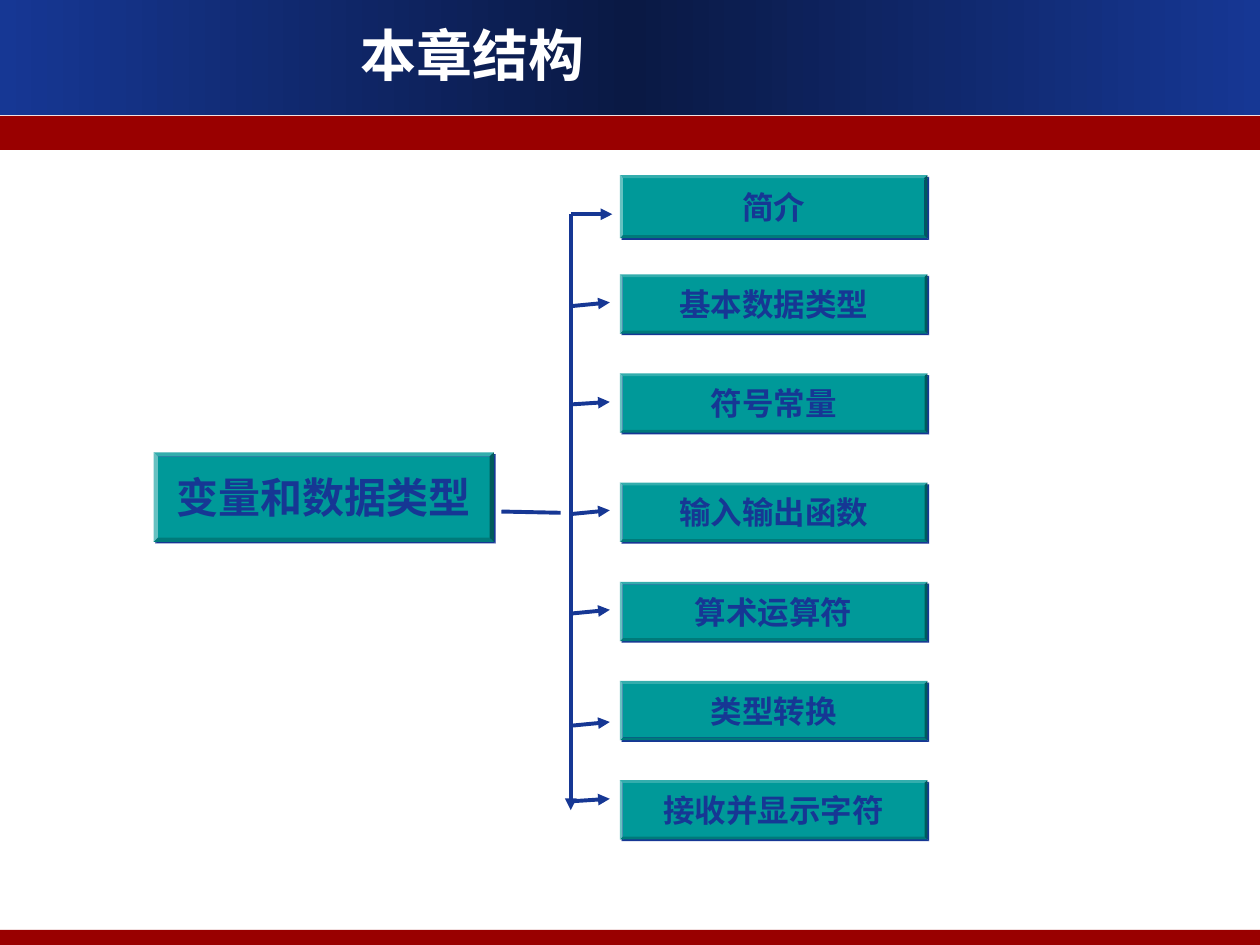
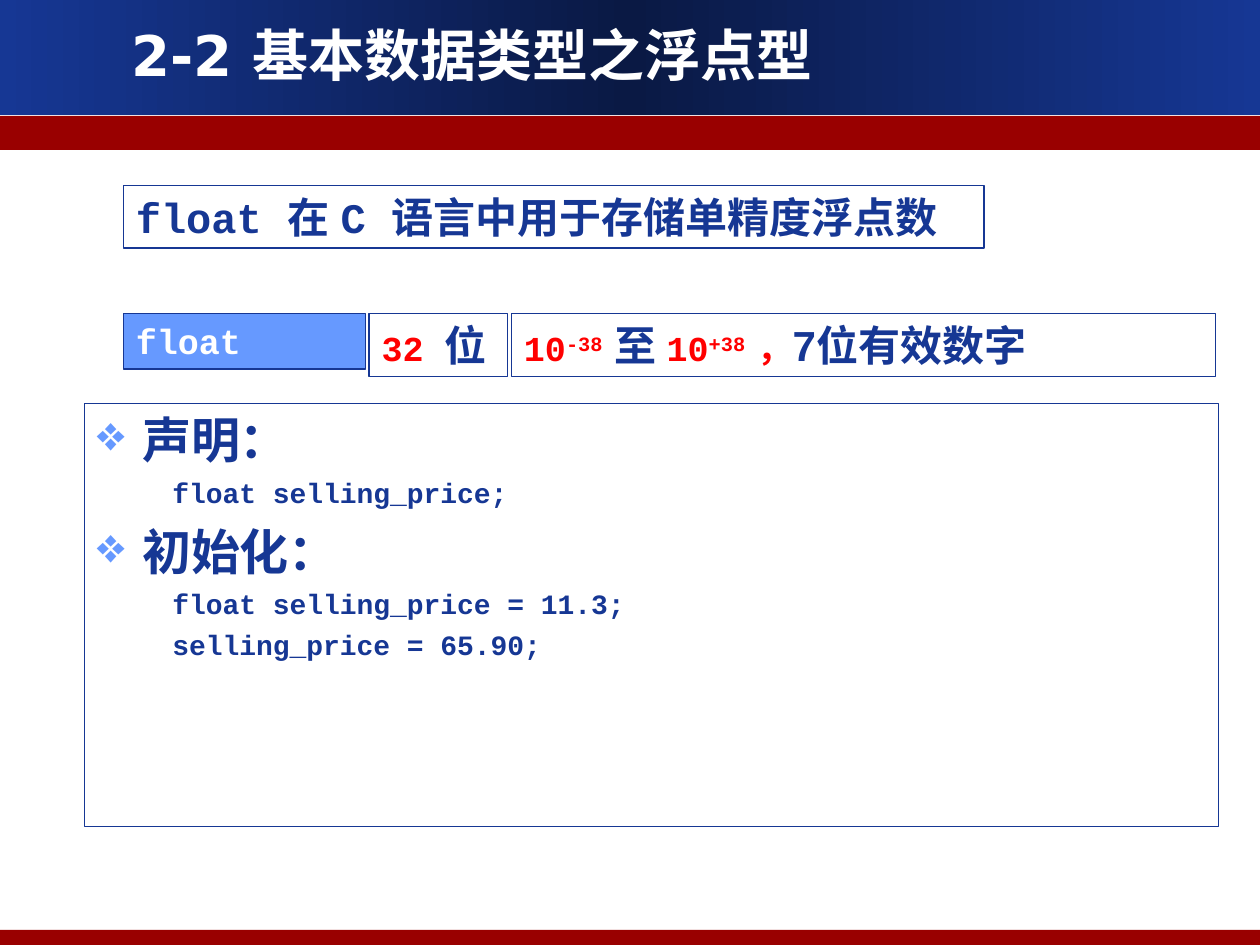
from dataclasses import dataclass

from lxml import etree
from pptx import Presentation
from pptx.dml.color import RGBColor
from pptx.enum.shapes import MSO_CONNECTOR, MSO_SHAPE
from pptx.enum.text import MSO_ANCHOR, MSO_AUTO_SIZE, PP_ALIGN
from pptx.oxml.ns import qn
from pptx.util import Inches, Pt

RECT, BEVEL = MSO_SHAPE.RECTANGLE, MSO_SHAPE.BEVEL
LINE = MSO_CONNECTOR.STRAIGHT
TOP, MID = MSO_ANCHOR.TOP, MSO_ANCHOR.MIDDLE
LEFT, MIDDLE, FULL = PP_ALIGN.LEFT, PP_ALIGN.CENTER, PP_ALIGN.JUSTIFY
FIXED = MSO_AUTO_SIZE.NONE


@dataclass(frozen=True)
class Theme:
    navy: str = "163794"
    dark: str = "0A1944"
    brick: str = "990000"
    teal: str = "009999"
    sky: str = "6699FF"
    red: str = "FF0000"
    white: str = "FFFFFF"
    sans: str = "Arial"
    head: str = "DejaVu Sans"
    code: str = "Courier New"
    han: str = "Noto Sans CJK SC"
    title: int = 32
    topic: int = 28
    large: int = 24
    mid: int = 20
    item: int = 18
    small: int = 16


T = Theme()

BANDS = [(0, 0.91, None), (0.92, 0.27, T.brick), (7.38, 0.13, T.brick)]
TITLES = ["本章结构", "2-2 基本数据类型之浮点型"]

ROOT = "变量和数据类型"
ITEMS = [
    ("简介", 1.7, 1.7),
    ("基本数据类型", 2.43, 2.4),
    ("符号常量", 3.21, 3.19),
    ("输入输出函数", 4.08, 4.05),
    ("算术运算符", 4.87, 4.84),
    ("类型转换", 5.76, 5.73),
    ("接收并显示字符", 6.36, 6.34),
]

INTRO = [("float 在 C 语言中用于存储单精度浮点数", T.large, T.code, T.navy)]
CELLS = [
    (0.98, 1.92, 0.44, T.sky, True, [("float", T.mid, T.code, T.white)]),
    (2.93, 1.1, 0.5, T.white, False, [
        ("32 ", T.mid, T.code, T.red),
        ("位", T.large, T.code, T.navy),
    ]),
    (4.06, 5.59, 0.5, T.white, True, [
        ("10", T.mid, T.code, T.red),
        ("-38 ", T.mid, T.code, T.red, 30),
        ("至", T.large, T.code, T.navy),
        (" 10", T.mid, T.code, T.red),
        ("+38 ", T.mid, T.code, T.red, 30),
        ("，", T.mid, T.han, T.red),
        ("7", T.large, T.sans, T.navy),
        ("位有效数字", T.large, T.han, T.navy),
    ]),
]
NOTES = [
    ("声明：", ["float selling_price;"]),
    ("初始化：", ["float selling_price = 11.3;", "selling_price = 65.90;"]),
]


def rgb(tone):
    return RGBColor.from_string(tone)


def node(root, tag, **attrs):
    return etree.SubElement(root, qn(tag), {k: str(v) for k, v in attrs.items()})


def tint(root, tone):
    node(root, "a:srgbClr", val=tone)


def write(para, text, size, face, tone, lift=0):
    run = para.add_run()
    run.text = text
    font = run.font
    font.size, font.bold, font.name = Pt(size), True, face
    font.color.rgb = rgb(tone)
    node(run.font._element, "a:ea", typeface=T.sans)
    if lift:
        run.font._element.set("baseline", str(lift * 1000))


def block(slide, kind, x, y, w, h, fill, edge=None):
    shape = slide.shapes.add_shape(kind, *map(Inches, (x, y, w, h)))
    shape.shadow.inherit = False
    shape.fill.solid()
    shape.fill.fore_color.rgb = rgb(fill)
    if edge:
        shape.line.color.rgb = rgb(edge)
        shape.line.width = Pt(0.75)
    else:
        shape.line.fill.background()
    return shape


def label(shape, runs, align, anchor, wrap=True):
    frame = shape.text_frame
    frame.auto_size, frame.word_wrap = FIXED, wrap
    frame.vertical_anchor = anchor
    para = frame.paragraphs[0]
    para.alignment = align
    for run in runs:
        write(para, *run)


def blend(shape):
    shape.fill.gradient()
    shape.fill.gradient_angle = 0
    stops = shape.element.spPr.find(qn("a:gradFill")).find(qn("a:gsLst"))
    for stop in list(stops):
        stops.remove(stop)
    for pos, tone in ((0, T.navy), (50, T.dark), (100, T.navy)):
        tint(node(stops, "a:gs", pos=pos * 1000), tone)


def dress(slide, layout):
    for spot, (y, h, fill) in enumerate(BANDS):
        band = block(slide, RECT, 0, y, 10, h, fill or T.navy)
        if not fill:
            blend(band)
        layout.shapes.element.insert(2 + spot, band.element)


def head(slide, text):
    title = slide.shapes.title
    title.left, title.top = Inches(0), Inches(0)
    title.width, title.height = Inches(7.5), Inches(0.86)
    label(title, [(text, T.title, T.head, T.white)], MIDDLE, MID)


def wire(slide, x1, y1, x2, y2, arrow=True):
    link = slide.shapes.add_connector(LINE, *map(Inches, (x1, y1, x2, y2)))
    link.line.color.rgb = rgb(T.navy)
    link.line.width = Pt(2.25)
    props = link.element.spPr
    if arrow:
        node(props.find(qn("a:ln")), "a:tailEnd", type="triangle")
    node(props, "a:effectLst")


def plate(slide, text, size, x, y, w, h):
    shape = block(slide, BEVEL, x, y, w, h, T.teal)
    shape.adjustments[0] = 0.047
    glow = shape.element.spPr.find(qn("a:effectLst"))
    tint(node(glow, "a:outerShdw", dist=Pt(1.4), dir=45 * 60000), T.navy)
    label(shape, [(text, size, T.han, T.navy)], MIDDLE, MID, False)


def tree(slide):
    plate(slide, ROOT, T.large, 1.22, 3.59, 2.7, 0.71)
    wire(slide, 3.98, 4.06, 4.45, 4.07, False)
    trunk = 4.53
    wire(slide, trunk, 1.7, trunk, 6.43)
    for i, (text, start, end) in enumerate(ITEMS):
        top = 1.39 + 0.787 * i + (0.08 if i > 2 else 0)
        plate(slide, text, T.item, 4.92, top, 2.44, 0.47 if i else 0.5)
        wire(slide, trunk, start, 4.84 if i else 4.86, end)


def line(para, text, size, face, gap, left, hang):
    props = para._p.get_or_add_pPr()
    props.set("marL", str(Inches(left)))
    props.set("indent", str(Inches(-hang)))
    para.alignment = LEFT
    if gap:
        para.space_before = Pt(gap)
    write(para, text, size, face, T.navy)
    return props


def notes(slide):
    box = block(slide, RECT, 0.67, 3.2, 9, 3.36, T.white, T.navy)
    label(box, [], LEFT, TOP)
    frame = box.text_frame
    for i, (topic, codes) in enumerate(NOTES):
        para = frame.add_paragraph() if i else frame.paragraphs[0]
        props = line(para, topic, T.topic, T.sans, 7 if i else 0, 0.36, 0.36)
        tint(node(props, "a:buClr"), T.sky)
        node(props, "a:buChar", char="❖")
        for code in codes:
            para = frame.add_paragraph()
            para.level = 1
            line(para, code, T.small, T.code, 4, 0.9, 0.3)


def detail(slide):
    intro = block(slide, RECT, 0.98, 1.47, 6.83, 0.5, T.white, T.navy)
    label(intro, INTRO, FULL, TOP)
    for x, w, h, fill, wrap, runs in CELLS:
        cell = block(slide, RECT, x, 2.49, w, h, fill, T.navy)
        label(cell, runs, LEFT, TOP, wrap)
    notes(slide)


def main():
    deck = Presentation()
    deck.slide_width, deck.slide_height = Inches(10), Inches(7.5)
    layout = deck.slide_layouts[5]
    slides = [deck.slides.add_slide(layout) for _ in TITLES]
    dress(slides[0], layout)
    for slide, text, draw in zip(slides, TITLES, (tree, detail)):
        head(slide, text)
        draw(slide)
    deck.save("out.pptx")


if __name__ == "__main__":
    main()
